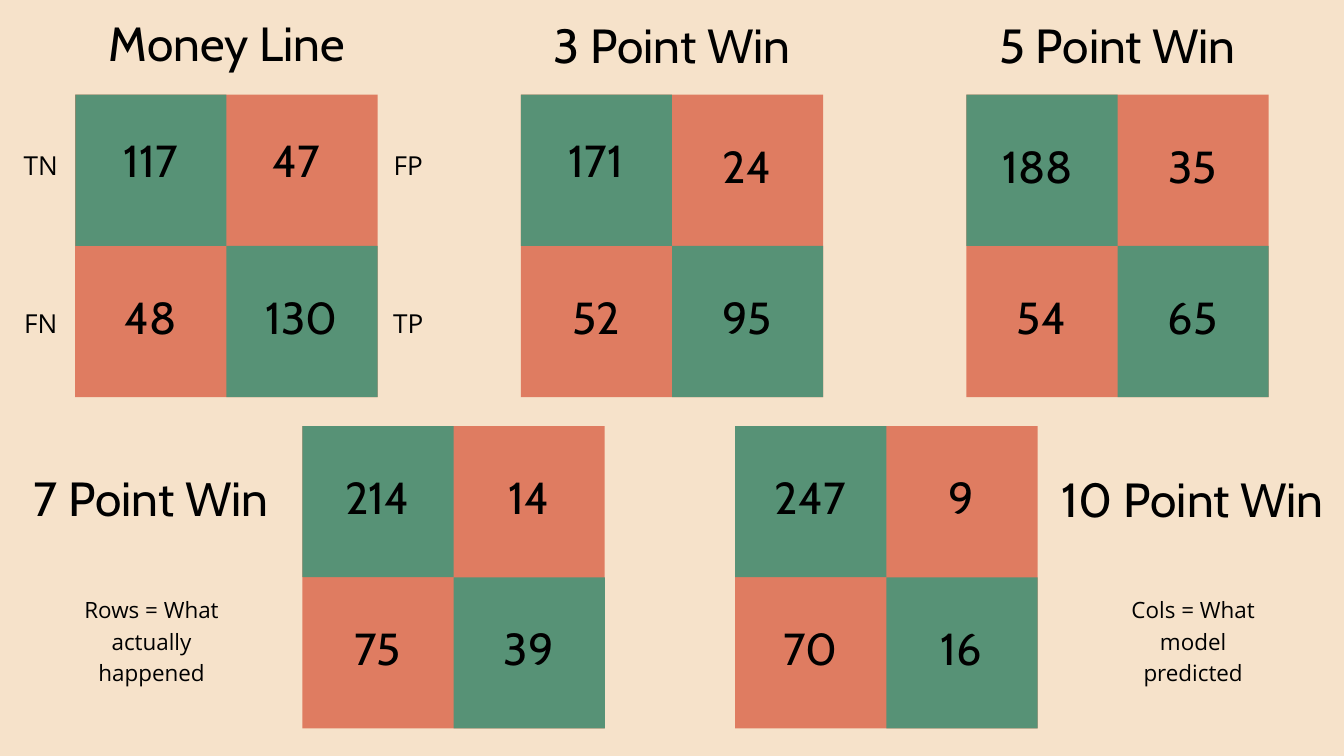
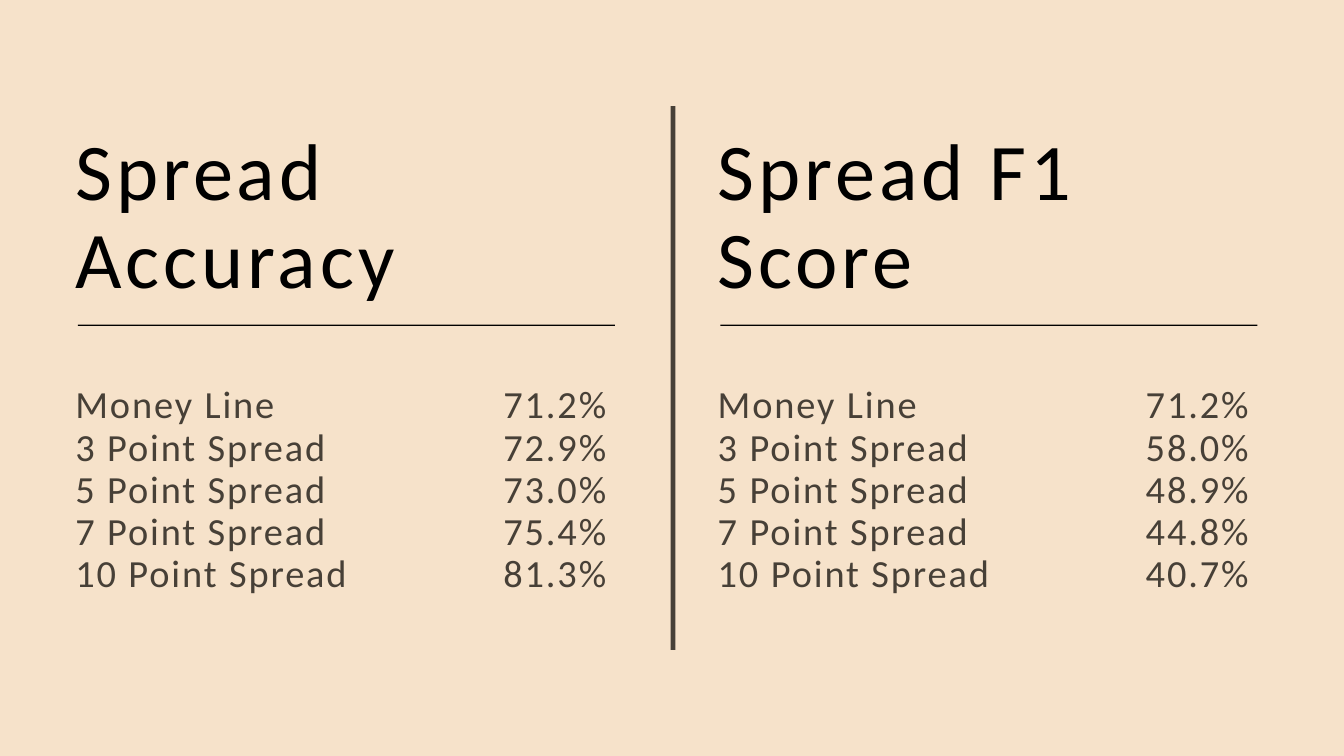
"""Build two slides on betting-spread results: confusion matrices and scores."""
from lxml.etree import SubElement
from pptx import Presentation
from pptx.dml.color import RGBColor
from pptx.enum.shapes import MSO_SHAPE as Shape
from pptx.enum.text import MSO_ANCHOR as Anchor, MSO_AUTO_SIZE as AutoSize, PP_ALIGN as Align
from pptx.oxml.ns import qn
from pptx.util import Inches, Pt

COLORS = {"sand": "F6E2CA", "coral": "DF7C61", "green": "579276",
          "black": "000000", "brown": "474037"}
STYLES = {
    "matrix title": dict(font="Cabin", size=51.3, leading=71.8, align=Align.CENTER),
    "count": dict(font="Cabin", size=48, leading=67.2, align=Align.CENTER),
    "tag": dict(font="Open Sans", size=28, leading=39.2, align=Align.CENTER),
    "note": dict(font="Open Sans", size=24, leading=33.6, align=Align.CENTER),
    "heading": dict(font="Calibri", size=86.1, leading=94.7, tracking=430),
    "list": dict(font="Calibri", size=41.1, leading=45.2, tracking=200, color="brown"),
}
CELL = 2.25
TOP_ROW, BOTTOM_ROW = 1.41, 6.34
MATRICES = [
    ("Money Line", (1.12, TOP_ROW), (0.93, 0.06), (117, 47, 48, 130)),
    ("3 Point Win", (7.75, TOP_ROW), (7.55, 0.09), (171, 24, 52, 95)),
    ("5 Point Win", (14.38, TOP_ROW), (14.18, 0.09), (188, 35, 54, 65)),
    ("7 Point Win", (4.5, BOTTOM_ROW), (-0.2, 6.83), (214, 14, 75, 39)),
    ("10 Point Win", (10.94, BOTTOM_ROW), (15.3, 6.84), (247, 9, 70, 16)),
]
NUDGES = {117: (0, -0.09), 47: (-0.08, -0.09), 171: (0, -0.09), 188: (-0.06, 0)}
SPREADS = ["Money Line", "3 Point Spread", "5 Point Spread", "7 Point Spread", "10 Point Spread"]
SCORES = [
    ("Spread Accuracy", 1.12, 0, 2, ["71.2%", "72.9%", "73.0%", "75.4%", "81.3%"]),
    ("Spread F1 Score", 10.68, 3, 4, ["71.2%", "58.0%", "48.9%", "44.8%", "40.7%"]),
]


class Builder:
    """Hold the deck style and the current slide."""

    def __init__(self):
        self.deck = Presentation()
        self.deck.slide_width, self.deck.slide_height = Inches(20), Inches(11.25)
        self.paint(self.deck.slide_master.background.fill, "sand")
        self.page = None

    def paint(self, fill, color):
        fill.solid()
        fill.fore_color.rgb = RGBColor.from_string(COLORS[color])

    def add_page(self, layout):
        self.page = self.deck.slides.add_slide(self.deck.slide_layouts.get_by_name(layout))

    def rect(self, color, left, top, width, height):
        box = self.page.shapes.add_shape(
            Shape.RECTANGLE, Inches(left), Inches(top), Inches(width), Inches(height))
        box.shadow.inherit = False
        self.paint(box.fill, color)
        box.line.fill.background()

    def text(self, style, lines, left, top, width, height):
        box = self.page.shapes.add_textbox(
            Inches(left), Inches(top), Inches(width), Inches(height))
        self.fill_text(box.text_frame, lines, **STYLES[style])

    def placeholder(self, index, style, lines, left, top, width, height):
        box = next(item for item in self.page.placeholders
                   if item.placeholder_format.idx == index)
        box.left, box.top = Inches(left), Inches(top)
        box.width, box.height = Inches(width), Inches(height)
        self.fill_text(box.text_frame, lines, **STYLES[style])

    def fill_text(self, frame, lines, font, size, leading, align=Align.LEFT,
                  tracking=0, color="black"):
        frame.word_wrap = True
        frame.auto_size = AutoSize.NONE
        frame.vertical_anchor = Anchor.TOP
        frame.margin_left = frame.margin_top = frame.margin_right = frame.margin_bottom = 0
        frame.text = "\n".join(lines)
        for para in frame.paragraphs:
            props = para._p.get_or_add_pPr()
            props.set("marL", "0")
            props.set("indent", "0")
            SubElement(props, qn("a:buNone"))
            para.alignment = align
            para.line_spacing = Pt(leading)
            para.space_before = para.space_after = Pt(0)
            para.font.name, para.font.size, para.font.bold = font, Pt(size), False
            para.font.color.rgb = RGBColor.from_string(COLORS[color])
            if tracking:
                props.find(qn("a:defRPr")).set("spc", str(tracking))

    def drop_empty(self):
        for box in list(self.page.placeholders):
            if not box.text_frame.text:
                box._element.getparent().remove(box._element)

    def matrix(self, left, top, counts):
        self.rect("coral", left, top, 2 * CELL, 2 * CELL)
        for step in (0, CELL):
            self.rect("green", left + step, top + step, CELL, CELL)
        for place, count in enumerate(counts):
            row, column = divmod(place, 2)
            shift_x, shift_y = NUDGES.get(count, (0, 0))
            self.text("count", [str(count)], left + column * CELL - 0.28 + shift_x,
                      top + row * CELL + 0.52 + shift_y, 2.8, 1.01)


def build_matrices(builder):
    builder.add_page("Title Only")
    for number, (title, corner, title_corner, counts) in enumerate(MATRICES):
        builder.matrix(*corner, counts)
        area = (*title_corner, 4.9, 1.06)
        if number == 0:
            builder.placeholder(0, "matrix title", [title], *area)
        else:
            builder.text("matrix title", [title], *area)
    for top, tags in ((2.15, ("TN", "FP")), (4.49, ("FN", "TP"))):
        for left, tag in zip((-0.63, 4.84), tags):
            builder.text("tag", [tag], left, top, 2.47, 0.53)
    for left, note in ((1.02, "Rows = What actually happened"),
                       (16.52, "Cols = What model predicted")):
        builder.text("note", [note], left, 8.81, 2.47, 1.35)


def build_scores(builder):
    builder.add_page("Comparison")
    builder.rect("brown", 9.98, 1.58, 0.07, 8.09)
    for heading, left, heading_index, list_index, values in SCORES:
        builder.placeholder(heading_index, "heading", [heading], left, 1.9, 7.49, 2.67)
        builder.placeholder(list_index, "list", SPREADS, left, 5.72, 6.05, 3.68)
        builder.text("list", values, left + 6.37, 5.72, 1.66, 3.68)
        builder.rect("black", left + 0.04, 4.83, 7.99, 0.02)
    builder.drop_empty()


def main():
    builder = Builder()
    build_matrices(builder)
    build_scores(builder)
    builder.deck.save("out.pptx")


if __name__ == "__main__":
    main()
